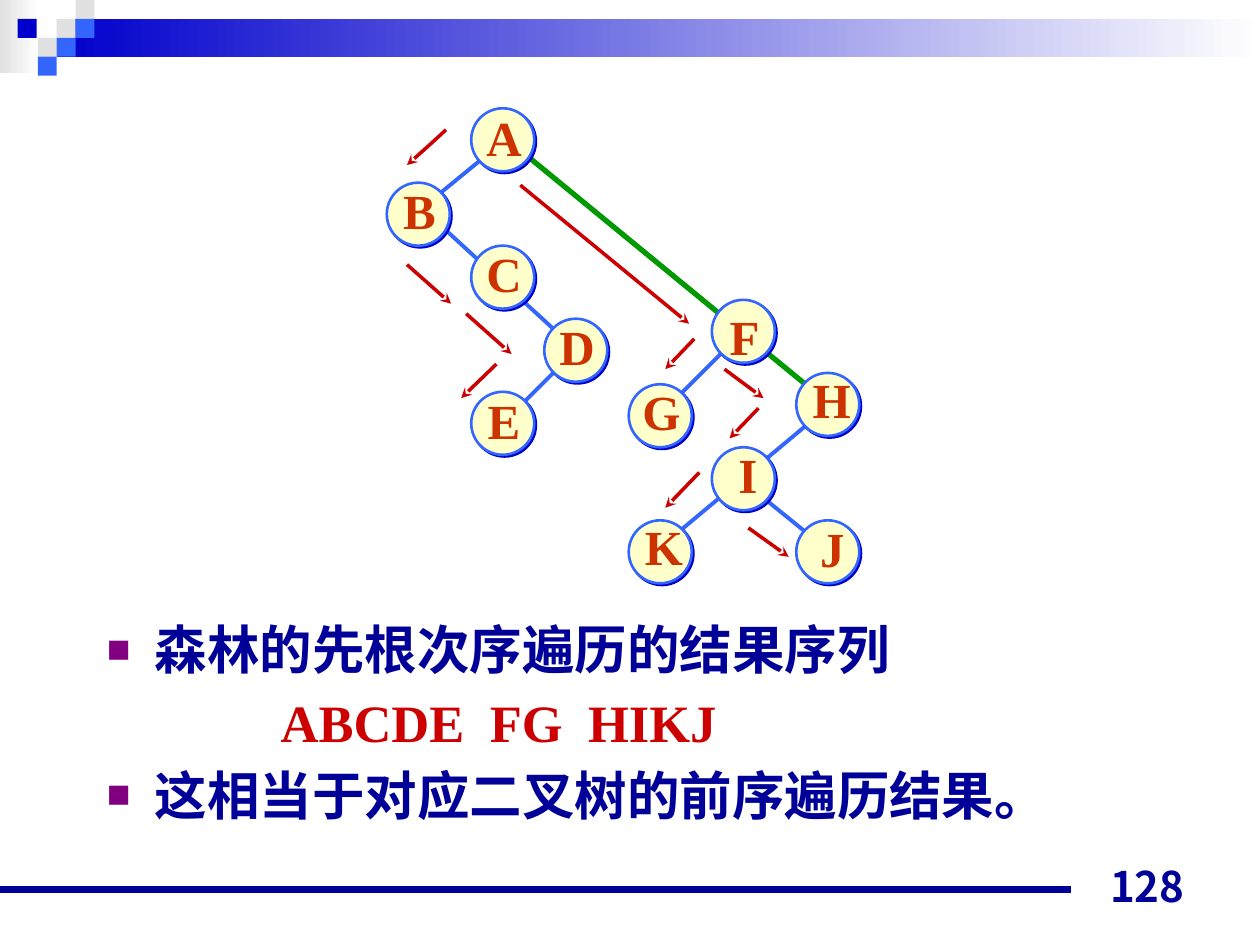
"""Build a slide on the pre-order traversal of a forest shown as a binary tree."""
from lxml import etree
from pptx import Presentation
from pptx import util as u
from pptx.dml.color import RGBColor
from pptx.enum import shapes, text
from pptx.oxml import parse_xml
from pptx.oxml.ns import nsdecls, qn


class Theme:
    navy, blue, sky, grey = "000099", "0000CC", "3366FF", "E1E1E1"
    white, cream, red, rust = "FFFFFF", "FFFFCC", "CC0000", "CC3300"
    green, purple = "009900", "800080"
    latin, cjk = "Times New Roman", "Noto Sans CJK JP"
    body, node, number = 30, 28, 24


BANDS = [
    (0, 0, 0.31, 0.58, Theme.grey),
    (0.45, 0.15, 9.55, 0.3, Theme.blue),
]
SQUARES = [
    (0.45, 0.15, Theme.grey), (0.6, 0, Theme.grey), (0.6, 0.15, Theme.sky),
    (0.3, 0.3, Theme.grey), (0.14, 0.15, Theme.blue),
    (0.45, 0.3, Theme.sky), (0.3, 0.45, Theme.sky),
]
SQUARE, NODE, LABEL_H = 0.15, 0.5, 0.57

BULLETS = [
    ("森林的先根次序遍历的结果序列", Theme.navy),
    ("\tABCDE\tFG\tHIKJ", Theme.red),
    ("这相当于对应二叉树的前序遍历结果。", Theme.navy),
]
RESULT_TABS = [1.38, 3.04, 3.82]

EDGES = [
    (4.15, 1.21, 6.49, 3.13, Theme.green, 3),
    (4.49, 2.86, 4.07, 3.28, Theme.sky, 2.25),
    (3.4, 1.7, 4.49, 2.7, Theme.sky, 2.25),
    (3.9, 1.2, 3.4, 1.61, Theme.sky, 2.25),
    (6.07, 3.96, 6.49, 4.3, Theme.sky, 2.25),
    (6.49, 3.3, 5.4, 4.21, Theme.sky, 2.25),
    (5.82, 2.71, 5.32, 3.21, Theme.sky, 2.25),
]
NODES = [
    ("A", (3.74, 0.86), (3.76, 0.8, 0.48)),
    ("B", (3.07, 1.45), (3.1, 1.38, 0.46)),
    ("C", (3.74, 1.95), (3.76, 1.88, 0.48)),
    ("D", (4.32, 2.53), (4.34, 2.46, 0.48)),
    ("E", (3.74, 3.11), (3.77, 3.05, 0.46)),
    ("F", (5.65, 2.38), (5.69, 2.38, 0.44)),
    ("G", (4.99, 3.05), (5, 2.98, 0.5)),
    ("H", (6.32, 2.96), (6.35, 2.88, 0.5)),
    ("I", (5.65, 3.55), (5.76, 3.48, 0.35)),
    ("J", (6.32, 4.13), (6.41, 4.06, 0.39)),
    ("K", (4.99, 4.13), (5.02, 4.05, 0.5)),
]
FIRST_STEP = [(3.54, 1.03), (3.41, 1.15), (3.23, 1.31)]
STEPS = [
    (3.23, 2.1, 3.58, 2.41), (3.7, 2.49, 4.06, 2.81), (3.94, 2.89, 3.66, 3.16),
    (4.13, 1.47, 5.47, 2.57), (5.51, 2.69, 5.28, 2.93), (5.75, 2.93, 6.06, 3.16),
    (6.02, 3.24, 5.79, 3.48), (5.55, 3.75, 5.28, 4.03), (5.94, 4.19, 6.26, 4.42),
]


def rgb(color):
    return RGBColor.from_string(color)


def add_block(s, kind, x, y, w, h, color):
    sp = s.shapes.add_shape(kind, *map(u.Inches, (x, y, w, h)))
    sp.shadow.inherit = False
    sp.fill.solid()
    sp.fill.fore_color.rgb = rgb(color)
    sp.line.fill.background()
    return sp


def add_band(s, x, y, w, h, color):
    sp = add_block(s, shapes.MSO_SHAPE.RECTANGLE, x, y, w, h, color)
    sp.fill.gradient()
    sp.fill.gradient_angle = 0
    for stop, shade in zip(sp.fill.gradient_stops, (color, Theme.white)):
        stop.color.rgb = rgb(shade)


def style_line(sp, color, width, arrow=False):
    sp.line.color.rgb = rgb(color)
    sp.line.width = u.Pt(width)
    if arrow:
        etree.SubElement(sp.line._get_or_add_ln(), qn("a:tailEnd"), type="stealth")


def add_line(s, x1, y1, x2, y2, color, width, arrow=False):
    sp = s.shapes.add_connector(
        shapes.MSO_CONNECTOR.STRAIGHT, *map(u.Inches, (x1, y1, x2, y2)))
    style_line(sp, color, width, arrow)
    etree.SubElement(sp._element.spPr, qn("a:effectLst"))


def add_first_step(s):
    points = [(u.Inches(x), u.Inches(y)) for x, y in FIRST_STEP]
    builder = s.shapes.build_freeform(*points[0])
    builder.add_line_segments(points[1:], close=False)
    sp = builder.convert_to_shape()
    sp.fill.background()
    style_line(sp, Theme.red, 2, True)
    sp.shadow.inherit = False


def add_node(s, x, y):
    sp = add_block(s, shapes.MSO_SHAPE.OVAL, x, y, NODE, NODE, Theme.cream)
    style_line(sp, Theme.sky, 1.5)
    effects = sp._element.spPr.find(qn("a:effectLst"))
    effects.append(parse_xml(
        f'<a:outerShdw {nsdecls("a")} blurRad="0" dist="{u.Pt(1.4)}" dir="2700000" '
        f'algn="ctr" rotWithShape="0"><a:srgbClr val="{Theme.blue}"/></a:outerShdw>'))


def add_textbox(s, x, y, w, h, anchor, wrap=True):
    tf = s.shapes.add_textbox(*map(u.Inches, (x, y, w, h))).text_frame
    tf.word_wrap = wrap
    tf.vertical_anchor = anchor
    return tf


def format_text(p, size, color, font=Theme.latin):
    for r in p.runs:
        r.font.size, r.font.bold, r.font.name = u.Pt(size), True, font
        r.font.color.rgb = rgb(color)
        etree.SubElement(r._r.get_or_add_rPr(), qn("a:ea"), typeface=Theme.cjk)


def add_label(s, letter, x, y, w):
    tf = add_textbox(s, x, y, w, LABEL_H, text.MSO_ANCHOR.MIDDLE, wrap=False)
    tf.auto_size = text.MSO_AUTO_SIZE.SHAPE_TO_FIT_TEXT
    tf.text = letter
    p = tf.paragraphs[0]
    p.alignment = text.PP_ALIGN.CENTER
    format_text(p, Theme.node, Theme.rust)


def add_bullet(p):
    pPr = p._p.get_or_add_pPr()
    pPr.set("marL", str(u.Inches(0.38)))
    pPr.set("indent", str(-u.Inches(0.38)))
    color = etree.SubElement(pPr, qn("a:buClr"))
    etree.SubElement(color, qn("a:srgbClr"), val=Theme.purple)
    etree.SubElement(pPr, qn("a:buSzPct"), val="75000")
    etree.SubElement(pPr, qn("a:buFont"), typeface=Theme.latin)
    etree.SubElement(pPr, qn("a:buChar"), char="■")


def add_tabs(p):
    tabs = etree.SubElement(p._p.get_or_add_pPr(), qn("a:tabLst"))
    for pos in RESULT_TABS:
        etree.SubElement(tabs, qn("a:tab"), pos=str(u.Inches(pos)), algn="l")


def add_body(s):
    tf = add_textbox(s, 0.75, 4.85, 9, 2.01, text.MSO_ANCHOR.TOP)
    for i, (line, color) in enumerate(BULLETS):
        p = tf.add_paragraph() if i else tf.paragraphs[0]
        p.text = line
        if "\t" in line:
            add_tabs(p)
        else:
            add_bullet(p)
        if i:
            p.space_before = u.Pt(5.6)
        format_text(p, Theme.body, color)


def add_number(s):
    tf = add_textbox(s, 7.17, 6.78, 2.33, 0.5, text.MSO_ANCHOR.BOTTOM)
    tf.text = "128"
    tf.paragraphs[0].alignment = text.PP_ALIGN.RIGHT
    format_text(tf.paragraphs[0], Theme.number, Theme.navy, Theme.cjk)


def main():
    prs = Presentation()
    prs.slide_width, prs.slide_height = u.Inches(10), u.Inches(7.5)
    s = prs.slides.add_slide(prs.slide_layouts[6])
    for band in BANDS:
        add_band(s, *band)
    for x, y, color in SQUARES:
        add_block(s, shapes.MSO_SHAPE.RECTANGLE, x, y, SQUARE, SQUARE, color)
    add_line(s, 0, 7.06, 8.5, 7.06, Theme.navy, 4.5)
    add_body(s)
    for edge in EDGES:
        add_line(s, *edge)
    for letter, circle, label in NODES:
        add_node(s, *circle)
        add_label(s, letter, *label)
    add_first_step(s)
    for step in STEPS:
        add_line(s, *step, Theme.red, 2, True)
    add_number(s)
    prs.save("out.pptx")


if __name__ == "__main__":
    main()
